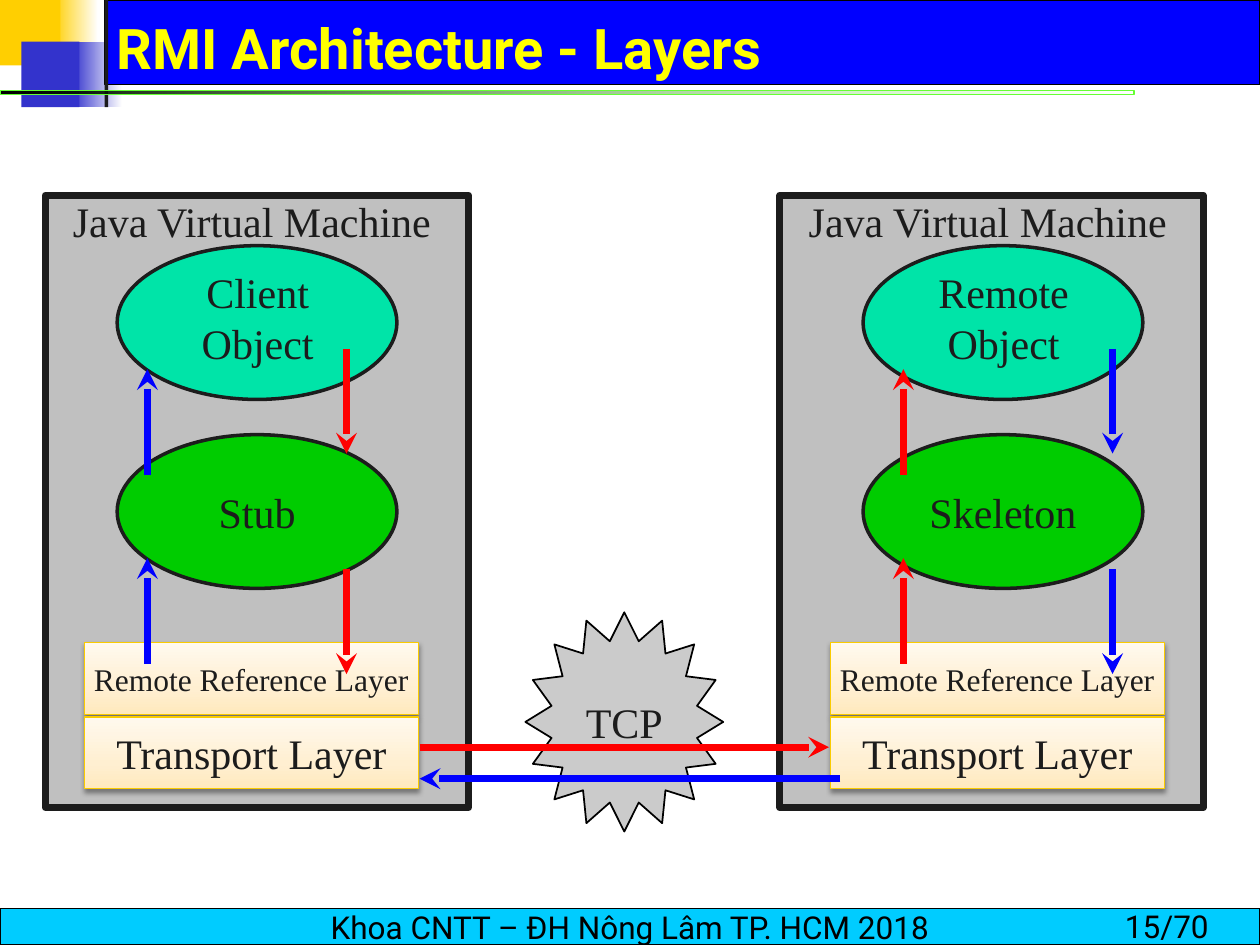
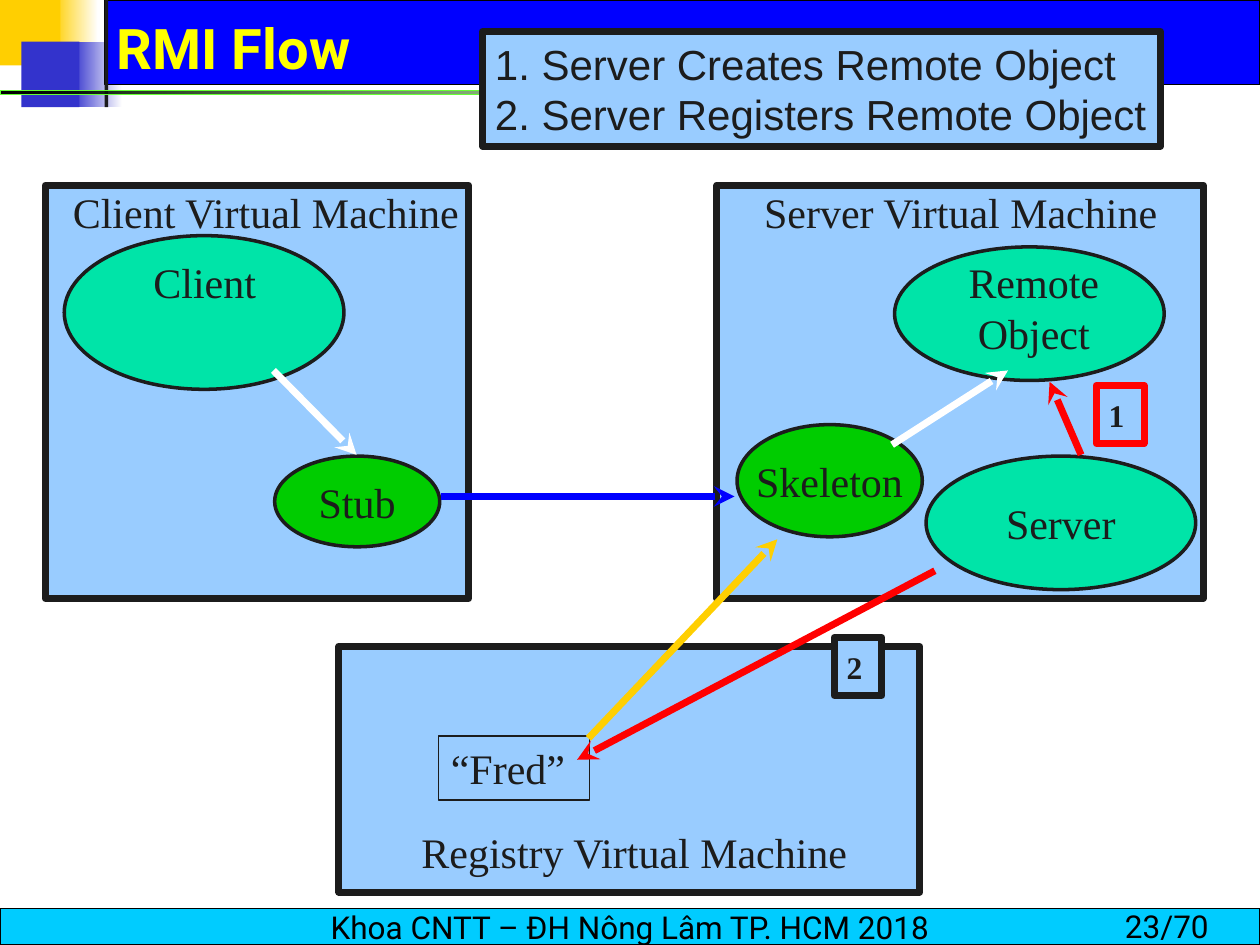
import copy

import pptx
import pptx.dml.color
import pptx.enum.shapes
import pptx.enum.text
import pptx.oxml
import pptx.oxml.ns
import pptx.util

Inches = pptx.util.Inches
Pt = pptx.util.Pt
RGBColor = pptx.dml.color.RGBColor
SHAPE = pptx.enum.shapes.MSO_SHAPE
ALIGN = pptx.enum.text.PP_ALIGN
ANCHOR = pptx.enum.text.MSO_ANCHOR
qn = pptx.oxml.ns.qn

BLACK = RGBColor(0x00, 0x00, 0x00)
WHITE = RGBColor(0xFF, 0xFF, 0xFF)
INK = RGBColor(0x1C, 0x1C, 0x1C)
BLUE = RGBColor(0x00, 0x00, 0xFF)
RED = RGBColor(0xFF, 0x00, 0x00)
GOLD = RGBColor(0xFF, 0xCF, 0x01)
INDIGO = RGBColor(0x33, 0x33, 0xCC)
LIME = RGBColor(0x66, 0xFF, 0x33)
CYAN = RGBColor(0x00, 0xCC, 0xFF)
YELLOW = RGBColor(0xFF, 0xFF, 0x00)
GREY = RGBColor(0xC0, 0xC0, 0xC0)
SILVER = RGBColor(0xCB, 0xCB, 0xCB)
SKY = RGBColor(0x99, 0xCC, 0xFF)
MINT = RGBColor(0x00, 0xE4, 0xA8)
GREEN = RGBColor(0x00, 0xCC, 0x00)
AMBER = RGBColor(0xFA, 0xCB, 0x00)
CREAM = [RGBColor(0xFF, 0xE9, 0xBD), RGBColor(0xFF, 0xEF, 0xD1), RGBColor(0xFF, 0xF9, 0xEE)]

SERIF = "Times New Roman"
SANS = "Arial"
ROBOTO = "Roboto"
DRAWING = 'xmlns:a="http://schemas.openxmlformats.org/drawingml/2006/main"'


def lengths(box):
    return [Inches(n) for n in box]


def write(shape, text, size=24, font=SERIF, color=INK, bold=False,
          align=ALIGN.CENTER, anchor=ANCHOR.MIDDLE, wrap=False):
    frame = shape.text_frame
    frame.word_wrap = wrap
    frame.vertical_anchor = anchor
    frame.text = text
    for par in frame.paragraphs:
        par.alignment = align
        par.font.size = Pt(size)
        par.font.name = font
        par.font.bold = bold
        par.font.color.rgb = color


def label(slide, box, text, **style):
    style = {"anchor": ANCHOR.TOP, **style}
    write(slide.shapes.add_textbox(*lengths(box)), text, **style)


def draw(slide, box, fill=None, line=None, width=0.75, kind=SHAPE.RECTANGLE):
    shape = slide.shapes.add_shape(kind, *lengths(box))
    shape.shadow.inherit = False
    if fill is None:
        shape.fill.background()
    else:
        shape.fill.solid()
        shape.fill.fore_color.rgb = fill
    if line is None:
        shape.line.fill.background()
    else:
        shape.line.color.rgb = line
        shape.line.width = Pt(width)
    return shape


def fade(shape, colors, spots=(0, 1), angle=0):
    """Fill with a gradient through the colours; angle runs counter-clockwise."""
    shape.fill.gradient()
    shape.fill.gradient_angle = angle
    stops = next(shape._element.spPr.iter(qn("a:gsLst")))
    for _ in colors[2:]:
        stops.append(copy.deepcopy(stops[-1]))
    for stop, color, spot in zip(shape.fill.gradient_stops, colors, spots):
        stop.color.rgb = color
        stop.position = spot
    return stops


def cast(shape):
    """Give the shape a soft shadow below it."""
    effects = shape._element.spPr.find(qn("a:effectLst"))
    effects.append(pptx.oxml.parse_xml(
        f'<a:outerShdw {DRAWING} blurRad="{Pt(3.1)}" dist="{Pt(1.6)}" dir="5400000" '
        'rotWithShape="0"><a:srgbClr val="000000"><a:alpha val="38000"/></a:srgbClr>'
        '</a:outerShdw>'))


def arrow(slide, start, end, color):
    line = slide.shapes.add_connector(
        pptx.enum.shapes.MSO_CONNECTOR.STRAIGHT, *lengths(start + end))
    line.line.color.rgb = color
    line.line.width = Pt(4)
    line.line._get_or_add_ln().append(
        pptx.oxml.parse_xml(f'<a:tailEnd {DRAWING} type="stealth"/>'))
    line._element.spPr.append(pptx.oxml.parse_xml(f'<a:effectLst {DRAWING}/>'))


def oval(slide, box, fill, text=None):
    shape = draw(slide, box, fill, INK, 2, SHAPE.OVAL)
    if text:
        write(shape, text)


def head(slide, title):
    fade(draw(slide, (0.42, 0, 0.36, 0.52)), [GOLD, WHITE])
    fade(draw(slide, (0.57, 0.33, 0.4, 0.52)), [INDIGO, WHITE])
    draw(slide, (0.83, 0, 9.17, 0.67), BLUE, BLACK)
    draw(slide, (0, 0, 0.48, 0.52), GOLD)
    draw(slide, (0.17, 0.33, 0.46, 0.52), INDIGO)
    draw(slide, (0.83, 0, 0.03, 0.85), INK)
    stops = fade(draw(slide, (0, 0.72, 9, 0.03), line=LIME, width=0), [BLACK, LIME])
    stops[-1][0].append(pptx.oxml.parse_xml(f'<a:alpha {DRAWING} val="0"/>'))
    label(slide, (0.83, 0.08, 8.94, 0.58), title, size=32, font=ROBOTO, color=YELLOW,
          bold=True, align=ALIGN.LEFT, anchor=ANCHOR.MIDDLE, wrap=True)


def foot(slide, page):
    style = {"size": 18, "font": ROBOTO, "color": BLACK}
    write(draw(slide, (0, 7.21, 10, 0.29), CYAN, BLACK),
          "Khoa CNTT – ĐH Nông Lâm TP. HCM 2018", **style)
    label(slide, (8.83, 7.15, 1.17, 0.4), f"{page}/70", align=ALIGN.LEFT, wrap=True, **style)


def start(deck, title, page):
    slide = deck.slides.add_slide(deck.slide_layouts[6])
    head(slide, title)
    foot(slide, page)
    return slide


def stack(slide, box, inset, names, name_x, lanes):
    """One virtual machine: two ovals over two layers, joined by arrows.

    Each lane is (x, colour), first the one going up, then the one going down.
    """
    x, y, _, _ = box
    draw(slide, box, GREY, INK, 4)
    label(slide, (x + name_x, y - 0.05, 3.07, 0.5), "Java Virtual Machine", align=ALIGN.LEFT)
    left = x + inset
    for row, (text, size) in enumerate([("Remote Reference Layer", 18), ("Transport Layer", 24)]):
        layer = draw(slide, (left, y + 3.55 + 0.59 * row, 2.65, 0.57), WHITE, AMBER)
        fade(layer, CREAM, (0, 0.35, 1), 90)
        cast(layer)
        write(layer, text, size=size)
    top, low = names
    oval(slide, (left + 0.26, y + 0.4, 2.22, 1.22), MINT)
    label(slide, (left + 0.5, y + 0.52, 1.75, 0.9), top, wrap=True)
    oval(slide, (left + 0.26, y + 1.9, 2.22, 1.22), GREEN, low)
    (up, rise), (down, fall) = lanes
    for tail in (2.22, 3.72):
        arrow(slide, (x + up, y + tail), (x + up, y + tail - 0.84), rise)
    for tail in (1.22, 2.97):
        arrow(slide, (x + down, y + tail), (x + down, y + tail + 0.83), fall)


def layers(deck):
    slide = start(deck, "RMI Architecture - Layers", 15)
    star = draw(slide, (4.17, 4.86, 1.57, 1.74), SILVER, BLACK, 1, SHAPE.STAR_16_POINT)
    write(star, "TCP")
    stack(slide, (0.36, 1.55, 3.36, 4.86), 0.31, ("Client Object", "Stub"), 0.12,
          [(0.81, BLUE), (2.39, RED)])
    stack(slide, (6.19, 1.55, 3.36, 4.86), 0.4, ("Remote Object", "Skeleton"), 0.13,
          [(0.98, RED), (2.64, BLUE)])
    arrow(slide, (6.67, 6.18), (3.33, 6.18), BLUE)
    arrow(slide, (3.33, 5.93), (6.58, 5.93), RED)


def client(slide, box):
    x, y, _, _ = box
    draw(slide, box, SKY, INK, 4)
    label(slide, (x + 0.12, y - 0.04, 3.29, 0.5), "Client Virtual Machine", align=ALIGN.LEFT)
    oval(slide, (x + 0.15, y + 0.4, 2.22, 1.22), MINT)
    label(slide, (x + 0.39, y + 0.52, 1.75, 0.5), "Client", wrap=True)
    oval(slide, (x + 1.82, y + 2.15, 1.31, 0.72), GREEN, "Stub")
    arrow(slide, (x + 1.81, y + 1.47), (x + 2.47, y + 2.14), WHITE)


def server(slide, box):
    x, y, _, _ = box
    draw(slide, box, SKY, INK, 4)
    label(slide, (x + 0.06, y - 0.04, 3.75, 0.5), "Server Virtual Machine", wrap=True)
    oval(slide, (x + 1.41, y + 0.49, 2.14, 1.06), MINT)
    label(slide, (x + 1.64, y + 0.52, 1.75, 0.9), "Remote Object", wrap=True)
    oval(slide, (x + 0.16, y + 1.9, 1.47, 0.89), GREEN, "Skeleton")
    oval(slide, (x + 1.66, y + 2.15, 2.14, 1.06), MINT, "Server")
    arrow(slide, (x + 1.39, y + 2.06), (x + 2.31, y + 1.47), WHITE)
    arrow(slide, (x + 2.89, y + 2.14), (x + 2.64, y + 1.56), RED)
    step(slide, (x + 3.01, y + 1.59), "1", None, RED)


def registry(slide, box):
    x, y, _, _ = box
    draw(slide, box, SKY, INK, 4)
    label(slide, (x + 0.13, y + 1.38, 4.43, 0.5), "Registry Virtual Machine", wrap=True)
    entry = draw(slide, (x + 0.79, y + 0.71, 1.2, 0.51), None, INK, 1)
    write(entry, "“Fred”", align=ALIGN.LEFT, anchor=ANCHOR.TOP)
    step(slide, (x + 3.93, y - 0.07), "2", SKY, INK)


def step(slide, spot, text, fill, line):
    write(draw(slide, spot + (0.38, 0.46), fill, line, 4), text,
          size=18, bold=True, align=ALIGN.LEFT)


def flow(deck):
    slide = start(deck, "RMI Flow", 23)
    client(slide, (0.36, 1.47, 3.36, 3.28))
    server(slide, (5.69, 1.47, 3.86, 3.28))
    registry(slide, (2.69, 5.13, 4.61, 1.95))
    arrow(slide, (3.5, 3.94), (5.83, 3.94), BLUE)
    arrow(slide, (4.67, 5.86), (6.17, 4.28), GOLD)
    arrow(slide, (7.42, 4.53), (4.58, 6.03), RED)
    steps = draw(slide, (3.83, 0.25, 5.38, 0.91), SKY, INK, 4)
    write(steps, "1. Server Creates Remote Object\n2. Server Registers Remote Object",
          font=SANS, align=ALIGN.LEFT)


def main():
    deck = pptx.Presentation()
    deck.slide_width = Inches(10)
    deck.slide_height = Inches(7.5)
    layers(deck)
    flow(deck)
    deck.save("out.pptx")


if __name__ == "__main__":
    main()
